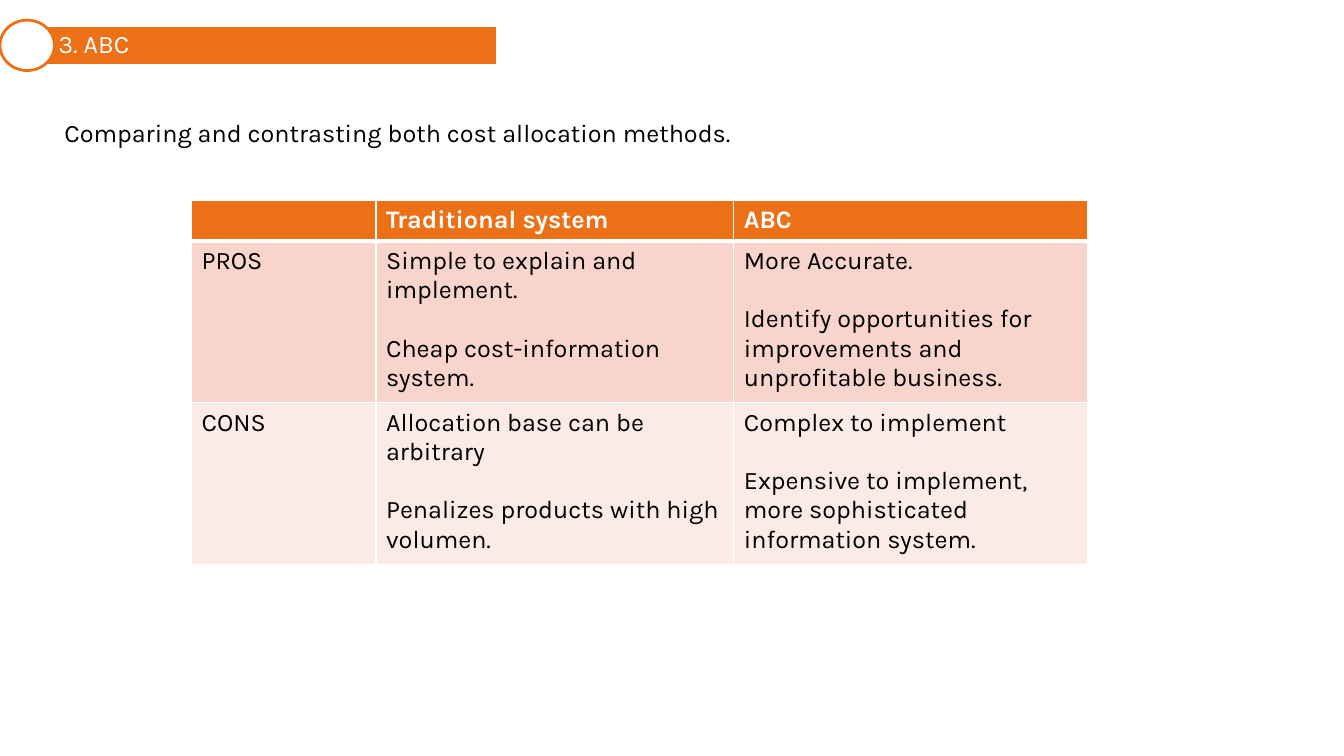
"""Build the slide that compares traditional and ABC cost allocation."""
import pptx
import pptx.dml.color
import pptx.enum.shapes
import pptx.enum.text
import pptx.oxml
import pptx.oxml.ns
import pptx.util

Pt = pptx.util.Pt
RGBColor = pptx.dml.color.RGBColor
SHAPE = pptx.enum.shapes.MSO_SHAPE

ORANGE = RGBColor(0xEC, 0x70, 0x16)
PINK = RGBColor(0xF7, 0xD4, 0xCC)
PALE_PINK = RGBColor(0xFB, 0xEB, 0xE7)
WHITE = RGBColor(0xFF, 0xFF, 0xFF)
BLACK = RGBColor(0x00, 0x00, 0x00)

THIN, THICK = 0.96, 3
PARAGRAPH_GAP = 20.5


def write(para, text, color, bold=False):
    """Add one run of slide text to a paragraph."""
    para.alignment = pptx.enum.text.PP_ALIGN.LEFT
    span = para.add_run()
    span.text = text
    span.font.name = "Karla"
    span.font.size = Pt(18)
    span.font.bold = bold
    span.font.color.rgb = color


def add_border(cell, side, width):
    """Draw one white cell border."""
    cell._tc.get_or_add_tcPr().append(pptx.oxml.parse_xml(
        f'<a:ln{side} {pptx.oxml.ns.nsdecls("a")} w="{int(Pt(width))}">'
        f'<a:solidFill><a:srgbClr val="{WHITE}"/></a:solidFill></a:ln{side}>'))


deck = pptx.Presentation()
deck.slide_width, deck.slide_height = Pt(960), Pt(540)
page = deck.slides.add_slide(deck.slide_layouts[6])

banner = page.shapes.add_shape(SHAPE.RECTANGLE, Pt(19.4), Pt(18), Pt(336.2), Pt(28.8))
badge = page.shapes.add_shape(SHAPE.OVAL, Pt(0), Pt(14.4), Pt(38.9), Pt(36))
for shape, fill, line in ((banner, ORANGE, WHITE), (badge, WHITE, ORANGE)):
    shape.shadow.inherit = False
    shape.fill.solid()
    shape.fill.fore_color.rgb = fill
    shape.line.color.rgb = line
    shape.line.width = Pt(2)

frame = banner.text_frame
frame.vertical_anchor = pptx.enum.text.MSO_ANCHOR.MIDDLE
frame.margin_left = Pt(22.3)
frame.margin_top = frame.margin_right = frame.margin_bottom = Pt(3.6)
title = frame.paragraphs[0]
title.line_spacing = 0.9
title.space_after = Pt(6.3)
write(title, "3. ABC", WHITE)

intro = page.shapes.add_textbox(Pt(38.9), Pt(80.6), Pt(789), Pt(28.8))
intro.text_frame.word_wrap = True
write(intro.text_frame.paragraphs[0],
      "Comparing and contrasting both cost allocation methods.", BLACK)

ROWS = [
    (29, ORANGE, [[], ["Traditional system"], ["ABC"]]),
    (115.5, PINK, [
        ["PROS"],
        ["Simple to explain and implement.", "Cheap cost-information system."],
        ["More Accurate.",
         "Identify opportunities for improvements and unprofitable business."]]),
    (115.5, PALE_PINK, [
        ["CONS"],
        ["Allocation base can be arbitrary", "Penalizes products with high volumen."],
        ["Complex to implement",
         "Expensive to implement, more sophisticated information system."]]),
]
COLUMN_WIDTHS = [131.8, 255.6, 252.7]

table = page.shapes.add_table(
    len(ROWS), len(COLUMN_WIDTHS), Pt(136.8), Pt(143.3),
    Pt(sum(COLUMN_WIDTHS)), Pt(260)).table
for column, width in zip(table.columns, COLUMN_WIDTHS):
    column.width = Pt(width)

for row_index, (height, fill, contents) in enumerate(ROWS):
    table.rows[row_index].height = Pt(height)
    is_header = row_index == 0
    borders = {"L": THIN, "R": THIN,
               "T": THICK if row_index == 1 else THIN,
               "B": THICK if is_header else THIN}
    for column_index, lines in enumerate(contents):
        cell = table.cell(row_index, column_index)
        for side, width in borders.items():
            add_border(cell, side, width)
        cell.fill.solid()
        cell.fill.fore_color.rgb = fill
        for line_index, line in enumerate(lines):
            if line_index == 0:
                para = cell.text_frame.paragraphs[0]
            else:
                para = cell.text_frame.add_paragraph()
                para.space_before = Pt(PARAGRAPH_GAP)
            write(para, line, WHITE if is_header else BLACK, bold=is_header)

deck.save("out.pptx")
